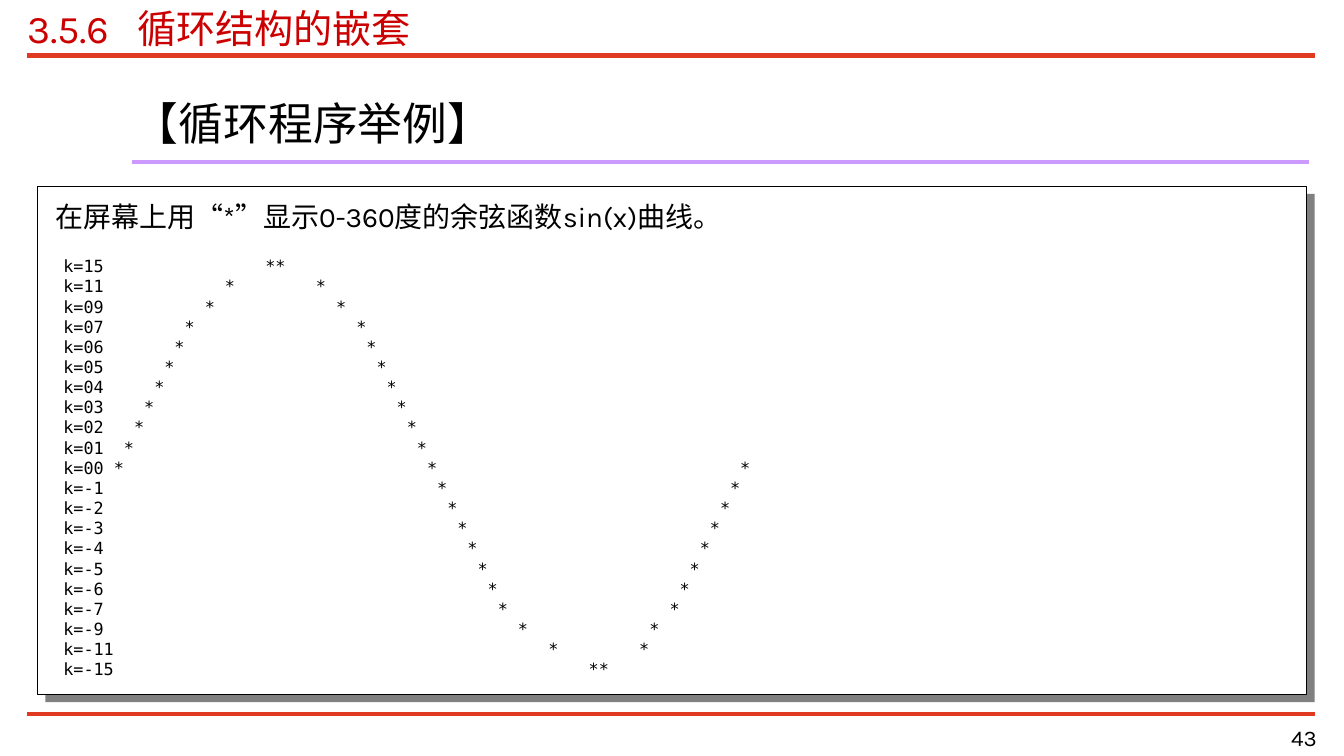
"""Build the slide on nested loops with the sine curve printed in asterisks."""
from pptx import Presentation
from pptx.dml.color import RGBColor
from pptx.enum.shapes import MSO_CONNECTOR, MSO_SHAPE
from pptx.enum.text import MSO_ANCHOR, PP_ALIGN
from pptx.oxml.ns import qn
from pptx.util import Pt
from lxml.etree import SubElement

RED = RGBColor(0xE1, 0x3A, 0x23)
TITLE_RED = RGBColor(0xCC, 0x00, 0x00)
LILAC = RGBColor(0xCC, 0x99, 0xFF)
GRAY = RGBColor(0x80, 0x80, 0x80)
WHITE = RGBColor(0xFF, 0xFF, 0xFF)
BLACK = RGBColor(0x00, 0x00, 0x00)
COLUMN = 7.22


def add_text(left, top, width, height, anchor, inset_x=7.2, inset_y=3.6):
    """Add an empty wrapping text box and return its frame."""
    frame = slide.shapes.add_textbox(Pt(left), Pt(top), Pt(width), Pt(height)).text_frame
    settings = {
        "word_wrap": True, "vertical_anchor": anchor,
        "margin_left": Pt(inset_x), "margin_right": Pt(inset_x),
        "margin_top": Pt(inset_y), "margin_bottom": Pt(inset_y),
    }
    for name, value in settings.items():
        setattr(frame, name, value)
    return frame


def write(paragraph, text, size, color=BLACK, font="Karla", tabs=()):
    """Fill a paragraph, with left tab stops given in points."""
    if tabs:
        stops = SubElement(paragraph._p.get_or_add_pPr(), qn("a:tabLst"))
        for stop in tabs:
            SubElement(stops, qn("a:tab"), pos=str(Pt(stop)), algn="l")
    run = paragraph.add_run()
    run.text = text
    for name, value in {"name": font, "size": Pt(size)}.items():
        setattr(run.font, name, value)
    run.font.color.rgb = color


deck = Presentation()
deck.slide_width, deck.slide_height = Pt(960.48), Pt(540)
slide = deck.slides.add_slide(deck.slide_layouts[6])

for left, top, right, color, weight in (
    (19.5, 39.6, 939.6, RED, 4),
    (19.5, 510, 939.6, RED, 3),
    (94.5, 116, 935.3, LILAC, 3),
):
    rule = slide.shapes.add_connector(MSO_CONNECTOR.STRAIGHT, Pt(left), Pt(top), Pt(right), Pt(top))
    rule.line.color.rgb = color
    rule.line.width = Pt(weight)
    SubElement(rule._element.spPr, qn("a:effectLst"))

for left, top, fill, outline in ((32.4, 138.5, GRAY, None), (26.8, 133, WHITE, BLACK)):
    panel = slide.shapes.add_shape(MSO_SHAPE.RECTANGLE, Pt(left), Pt(top), Pt(907.2), Pt(363))
    panel.shadow.inherit = False
    panel.fill.solid()
    panel.fill.fore_color.rgb = fill
    if outline is None:
        panel.line.fill.background()
    else:
        panel.line.color.rgb = outline
        panel.line.width = Pt(0.75)

title = add_text(19.5, 2.9, 920, 33.8, MSO_ANCHOR.MIDDLE, 0, 0)
write(title.paragraphs[0], "3.5.6\t循环结构的嵌套", 28, TITLE_RED, tabs=(78.5,))

heading = add_text(88.6, 64.8, 838.8, 46, MSO_ANCHOR.MIDDLE)
write(heading.paragraphs[0], "【循环程序举例】", 32)

task = add_text(32.4, 139, 895.7, 31.7, MSO_ANCHOR.MIDDLE)
write(task.paragraphs[0], "在屏幕上用“*”显示0-360度的余弦函数sin(x)曲线。", 20)

plot = add_text(38.2, 179.3, 753.8, 309.6, MSO_ANCHOR.TOP)
levels = (15, 11, 9, *range(7, -8, -1), -9, -11, -15)
for index, k in enumerate(levels):
    label = f"k={k:02d}"
    shift = len(label) - 4
    stars = [5 + k] if k >= 0 else []
    stars.append(36 - k + shift)
    if k <= 0:
        stars.append(67 + k + shift)
    if stars[1] - stars[0] == 1:
        stars, marks = stars[:1], ["**"]
    else:
        marks = ["*"] * len(stars)
    row = plot.paragraphs[0] if index == 0 else plot.add_paragraph()
    row.line_spacing = Pt(14.4)
    stops = [round(star * COLUMN, 2) for star in stars]
    write(row, "\t".join([label, *marks]), 12, font="DejaVu Sans Mono", tabs=stops)

page = add_text(748, 515.5, 193, 22.3, MSO_ANCHOR.MIDDLE, 0, 0)
page.paragraphs[0].alignment = PP_ALIGN.RIGHT
write(page.paragraphs[0], "43", 16)

deck.save("out.pptx")
